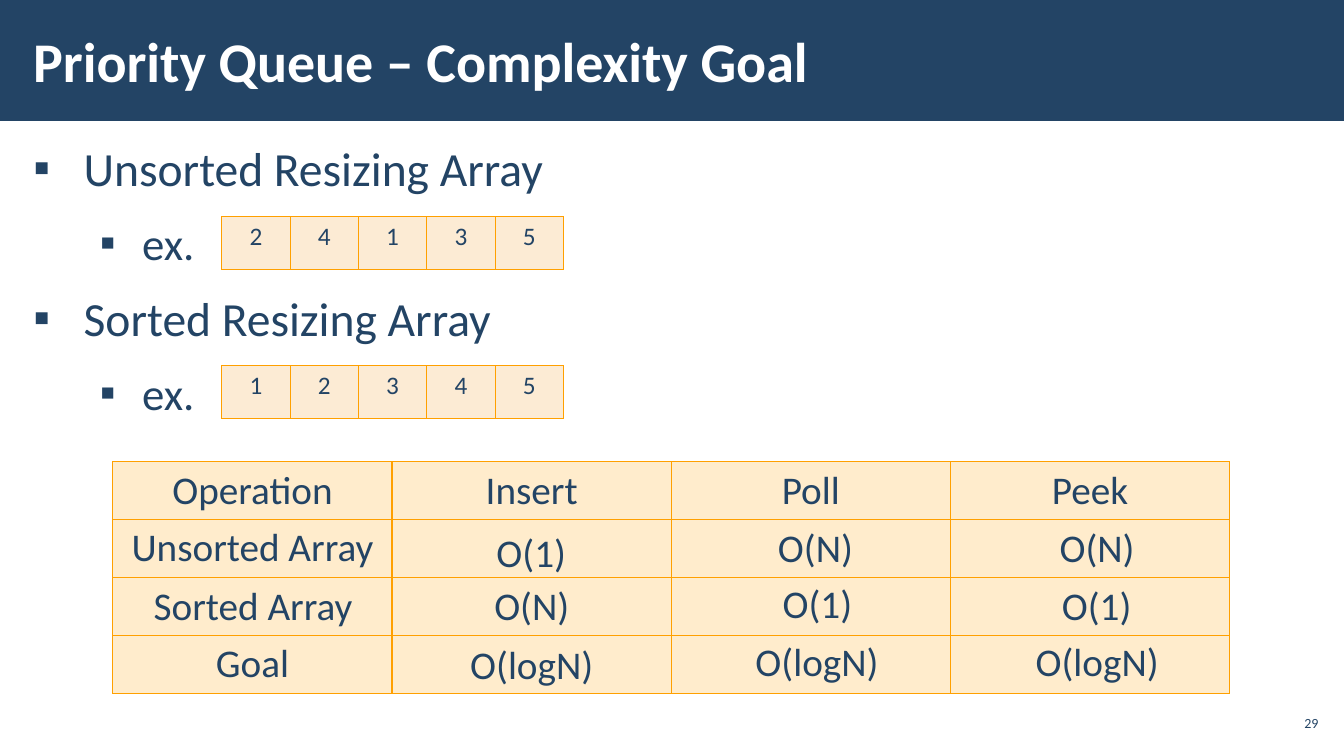
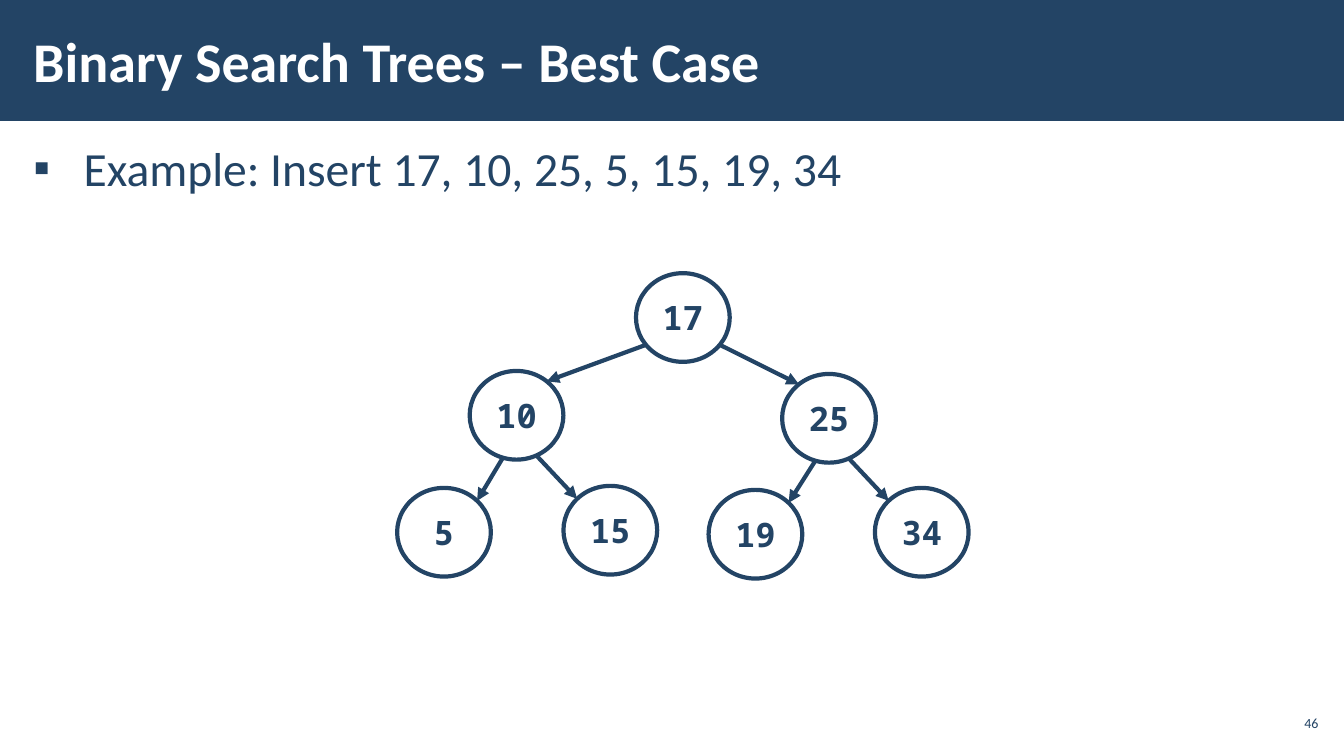
from dataclasses import dataclass
from math import cos, radians, sin
from typing import NamedTuple, Optional

from lxml.etree import SubElement
from pptx import Presentation
from pptx.dml.color import RGBColor
from pptx.enum.shapes import MSO_CONNECTOR, MSO_SHAPE
from pptx.enum.text import MSO_ANCHOR, MSO_AUTO_SIZE, PP_ALIGN
from pptx.oxml.ns import qn
from pptx.util import Inches, Pt


@dataclass(frozen=True)
class Theme:
    navy: RGBColor = RGBColor(0x23, 0x44, 0x65)
    white: RGBColor = RGBColor(0xFF, 0xFF, 0xFF)
    border: RGBColor = RGBColor(0xFF, 0xA0, 0x00)
    array_fill: RGBColor = RGBColor(0xFC, 0xEB, 0xD4)
    grid_fill: RGBColor = RGBColor(0xFF, 0xEC, 0xCC)
    font: str = "Calibri"
    mono: str = "Noto Sans Mono"
    title: int = 40
    bullet: int = 34
    sub_bullet: int = 32
    grid: int = 28
    node: int = 24
    array: int = 18
    page: int = 10


THEME = Theme()
SLIDE_W, SLIDE_H = 40 / 3, 7.5
NODE_W, NODE_H = 0.93, 0.88


class Box(NamedTuple):
    x: float
    y: float
    w: float
    h: float

    def lengths(self) -> list:
        return [Inches(v) for v in self]


class Bullet(NamedTuple):
    text: str
    level: int = 0


class Table(NamedTuple):
    box: Box
    rows: list
    size: int
    fill: RGBColor


class Label(NamedTuple):
    text: str
    x: float
    y: float
    w: float


class Node(NamedTuple):
    """Angles, clockwise from east, place the arrow on the parent and on this node."""
    label: str
    x: float
    y: float
    parent: Optional[str] = None
    leave: float = 0
    enter: float = 0

    def rim(self, angle: float) -> tuple:
        a = radians(angle)
        return (self.x + NODE_W / 2 * (1 + cos(a)),
                self.y + NODE_H / 2 * (1 + sin(a)))


BULLET_INDENTS = [(0.5, -0.5), (1.08, -0.42)]
TITLE_BOX = Box(0.21, 0.11, 10.4, 0.97)
BODY_BOX = Box(0.21, 1.31, 12.92, 5.69)
PAGE_BOX = Box(12.65, 7, 0.47, 0.34)
LABEL_H = 0.57

PRIORITY_BULLETS = [
    Bullet("Unsorted Resizing Array"), Bullet("ex.", 1),
    Bullet("Sorted Resizing Array"), Bullet("ex.", 1),
]
PRIORITY_TABLES = [
    Table(Box(1.12, 4.58, 11.08, 2.3), [
        ["Operation", "Insert", "Poll", "Peek"],
        ["Unsorted Array", "", "", ""],
        ["", "", "", ""],
        ["Goal", "", "", ""],
    ], THEME.grid, THEME.grid_fill),
    Table(Box(2.2, 2.15, 3.39, 0.52), [list("24135")], THEME.array, THEME.array_fill),
    Table(Box(2.2, 3.63, 3.39, 0.52), [list("12345")], THEME.array, THEME.array_fill),
]
# Answers lie over the blank cells so that each can be revealed on its own.
ANSWERS = [
    Label("Sorted Array", 1.12, 5.72, 2.78),
    Label("O(1)", 4.82, 5.19, 0.9),
    Label("O(N)", 7.52, 5.14, 1.14),
    Label("O(N)", 10.27, 5.14, 1.23),
    Label("O(N)", 4.63, 5.72, 1.29),
    Label("O(1)", 7.66, 5.7, 0.9),
    Label("O(1)", 10.43, 5.72, 0.9),
    Label("O(logN)", 4.47, 6.3, 1.61),
    Label("O(logN)", 7.21, 6.27, 1.79),
    Label("O(logN)", 10.1, 6.27, 1.57),
]
TREE = [
    Node("17", 6.31, 2.71),
    Node("10", 4.66, 3.68, "17", 142, -50),
    Node("25", 7.76, 3.71, "17", 38, -130),
    Node("5", 3.94, 4.84, "10", 107, -45),
    Node("15", 5.59, 4.82, "10", 65, -135),
    Node("19", 7.03, 4.86, "25", 107, -45),
    Node("34", 8.68, 4.84, "25", 65, -135),
]


def add_run(p, text: str, size: int, color: RGBColor = THEME.navy,
            bold: bool = False, font: str = THEME.font) -> None:
    r = p.add_run()
    r.text = text
    r.font.name, r.font.size, r.font.bold = font, Pt(size), bold
    r.font.color.rgb = color


def add_text_frame(s, box: Box, side: float, top: float = 0.04,
                   anchor=MSO_ANCHOR.MIDDLE):
    """Add a wrapping text box with the given insets."""
    tf = s.shapes.add_textbox(*box.lengths()).text_frame
    tf.word_wrap = True
    tf.vertical_anchor = anchor
    tf.margin_left = tf.margin_right = Inches(side)
    tf.margin_top = tf.margin_bottom = Inches(top)
    return tf


def add_bullets(s, bullets: list) -> None:
    tf = add_text_frame(s, BODY_BOX, 0.12, anchor=MSO_ANCHOR.TOP)
    for i, bullet in enumerate(bullets):
        p = tf.add_paragraph() if i else tf.paragraphs[0]
        p.level = bullet.level
        p.line_spacing = 1.05
        p.space_before = p.space_after = Pt(6)
        left, hanging = BULLET_INDENTS[bullet.level]
        pPr = p._p.get_or_add_pPr()
        pPr.set("marL", str(Inches(left)))
        pPr.set("indent", str(Inches(hanging)))
        SubElement(pPr, qn("a:buFont")).set("typeface", "Arial")
        SubElement(pPr, qn("a:buChar")).set("char", "▪")
        add_run(p, bullet.text, THEME.sub_bullet if bullet.level else THEME.bullet)


def add_base_slide(prs, title: str, page: int, bullets: list):
    """Add a slide with the title band, bullets and page number."""
    s = prs.slides.add_slide(prs.slide_layouts[6])
    band = s.shapes.add_shape(MSO_SHAPE.RECTANGLE, *Box(0, 0, SLIDE_W, 1.2).lengths())
    band.shadow.inherit = False
    band.fill.solid()
    band.fill.fore_color.rgb = THEME.navy
    band.line.fill.background()
    add_bullets(s, bullets)
    p = add_text_frame(s, TITLE_BOX, 0.12).paragraphs[0]
    add_run(p, title, THEME.title, THEME.white, bold=True)
    p = add_text_frame(s, PAGE_BOX, 0.04).paragraphs[0]
    p.alignment = PP_ALIGN.RIGHT
    add_run(p, str(page), THEME.page)
    return s


def set_borders(cell) -> None:
    tcPr = cell._tc.get_or_add_tcPr()
    for side in ("lnL", "lnR", "lnT", "lnB"):
        ln = SubElement(tcPr, qn(f"a:{side}"), w=str(Pt(1)))
        fill = SubElement(ln, qn("a:solidFill"))
        SubElement(fill, qn("a:srgbClr"), val=str(THEME.border))


def add_grid(s, spec: Table) -> None:
    n_rows, n_cols = len(spec.rows), len(spec.rows[0])
    table = s.shapes.add_table(n_rows, n_cols, *spec.box.lengths()).table
    table.first_row = table.horz_banding = False
    for col in table.columns:
        col.width = Inches(spec.box.w / n_cols)
    for row, texts in zip(table.rows, spec.rows):
        row.height = Inches(spec.box.h / n_rows)
        for cell, text in zip(row.cells, texts):
            set_borders(cell)
            cell.fill.solid()
            cell.fill.fore_color.rgb = spec.fill
            if text:
                p = cell.text_frame.paragraphs[0]
                p.alignment = PP_ALIGN.CENTER
                add_run(p, text, spec.size)


def add_label(s, label: Label) -> None:
    box = Box(label.x, label.y, label.w, LABEL_H)
    tf = add_text_frame(s, box, 0.1, 0.05, MSO_ANCHOR.TOP)
    tf.auto_size = MSO_AUTO_SIZE.SHAPE_TO_FIT_TEXT
    p = tf.paragraphs[0]
    p.alignment = PP_ALIGN.CENTER
    add_run(p, label.text, THEME.grid)


def add_node(s, node: Node) -> None:
    sp = s.shapes.add_shape(MSO_SHAPE.OVAL,
                            *Box(node.x, node.y, NODE_W, NODE_H).lengths())
    sp.shadow.inherit = False
    sp.fill.solid()
    sp.fill.fore_color.rgb = THEME.white
    color = sp._element.spPr.find(qn("a:solidFill"))[0]
    SubElement(color, qn("a:alpha"), val="50000")
    sp.line.color.rgb, sp.line.width = THEME.navy, Pt(3)
    tf = sp.text_frame
    tf.word_wrap = False
    tf.vertical_anchor = MSO_ANCHOR.MIDDLE
    p = tf.paragraphs[0]
    p.alignment = PP_ALIGN.CENTER
    add_run(p, node.label, THEME.node, bold=True, font=THEME.mono)


def add_arrow(s, start: tuple, end: tuple) -> None:
    line = s.shapes.add_connector(MSO_CONNECTOR.STRAIGHT,
                                  *(Inches(v) for v in start + end))
    line.line.color.rgb, line.line.width = THEME.navy, Pt(3)
    SubElement(line.line._get_or_add_ln(), qn("a:tailEnd"), type="triangle")
    SubElement(line._element.spPr, qn("a:effectLst"))


def add_tree(s, nodes: list) -> None:
    by_label = {node.label: node for node in nodes}
    for node in nodes:
        add_node(s, node)
        if node.parent:
            add_arrow(s, by_label[node.parent].rim(node.leave), node.rim(node.enter))


def main() -> None:
    prs = Presentation()
    prs.slide_width, prs.slide_height = Inches(SLIDE_W), Inches(SLIDE_H)

    s = add_base_slide(prs, "Priority Queue – Complexity Goal", 29, PRIORITY_BULLETS)
    for spec in PRIORITY_TABLES:
        add_grid(s, spec)
    for label in ANSWERS:
        add_label(s, label)

    s = add_base_slide(prs, "Binary Search Trees – Best Case", 46,
                       [Bullet("Example: Insert 17, 10, 25, 5, 15, 19, 34")])
    add_tree(s, TREE)

    prs.save("out.pptx")


if __name__ == "__main__":
    main()
